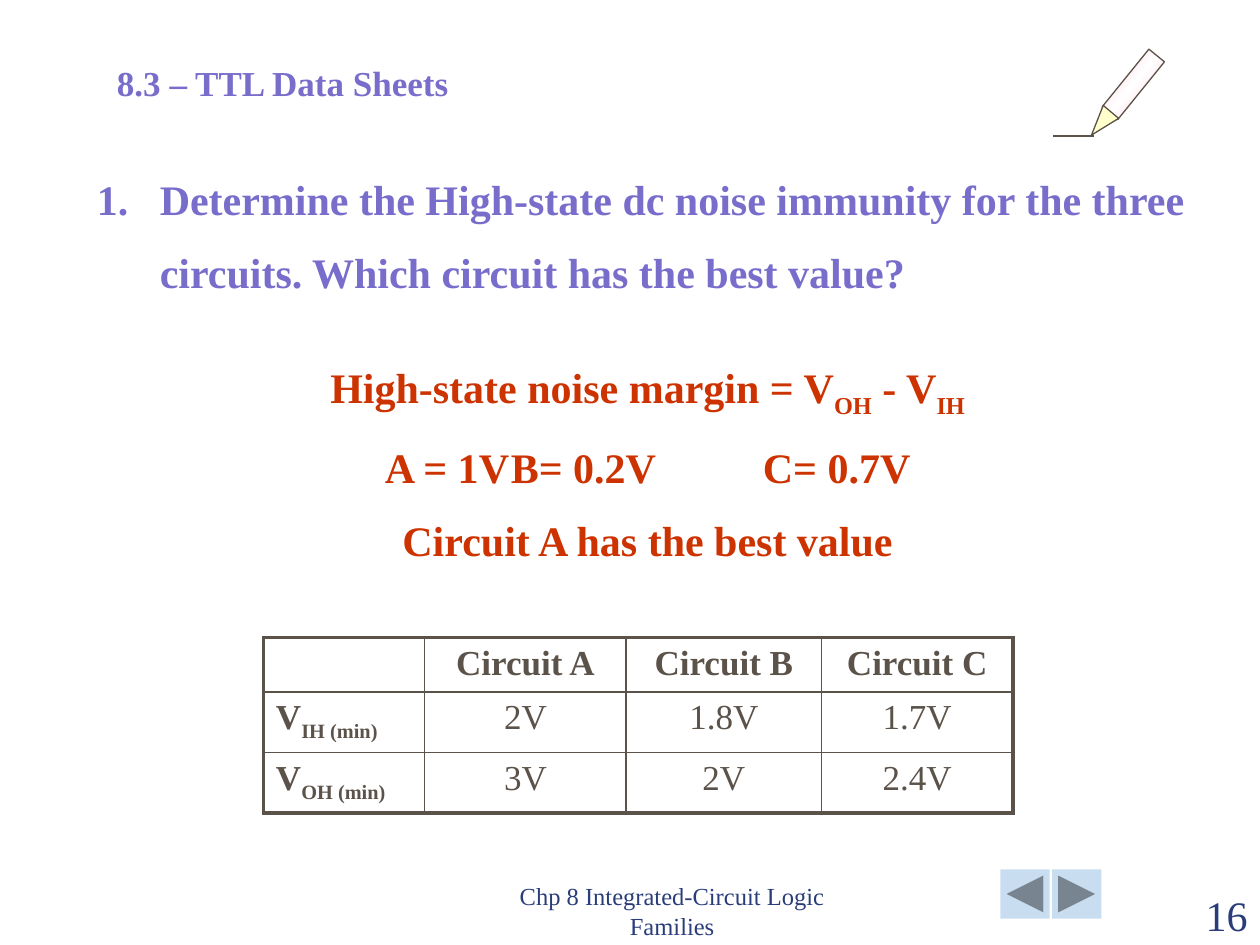
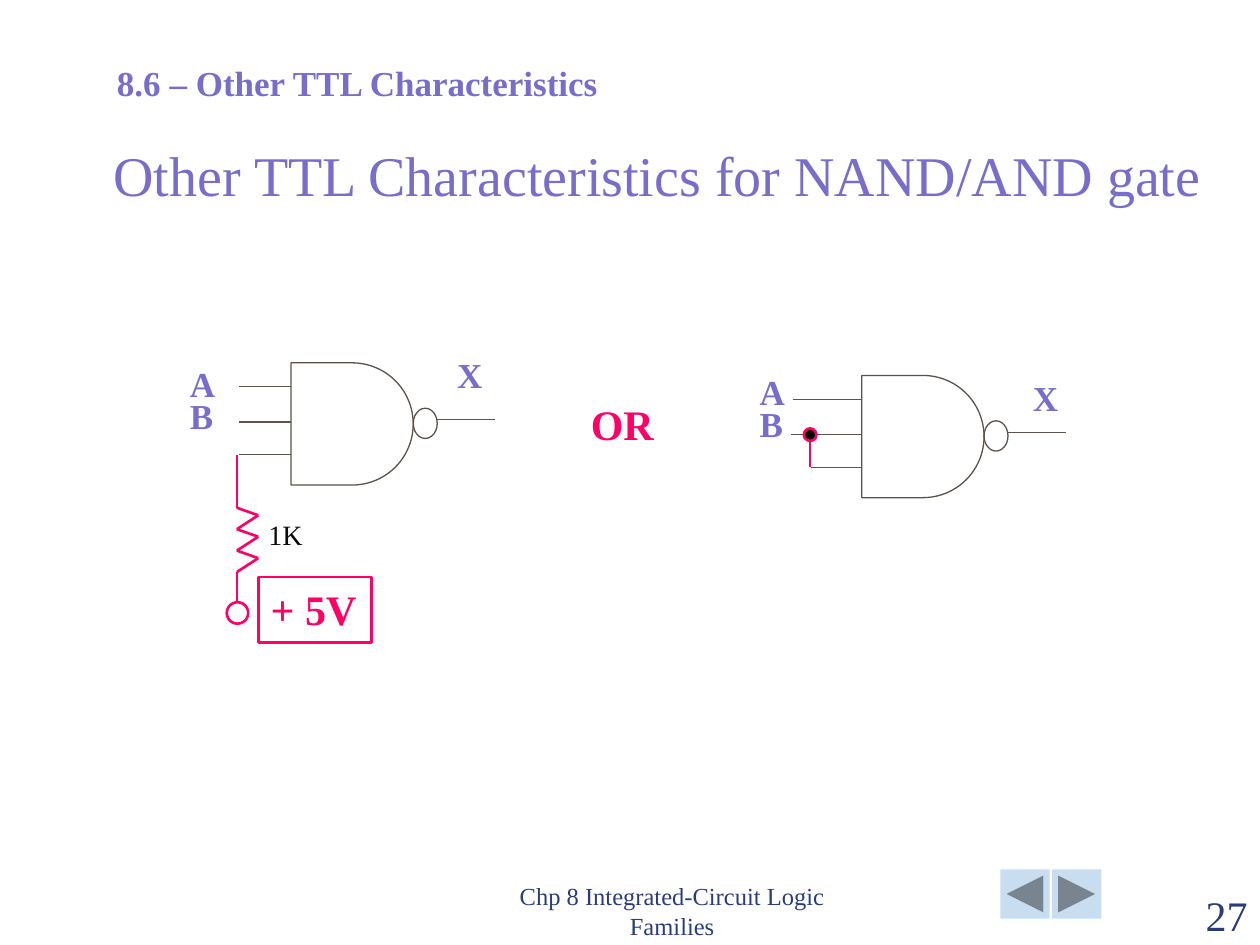
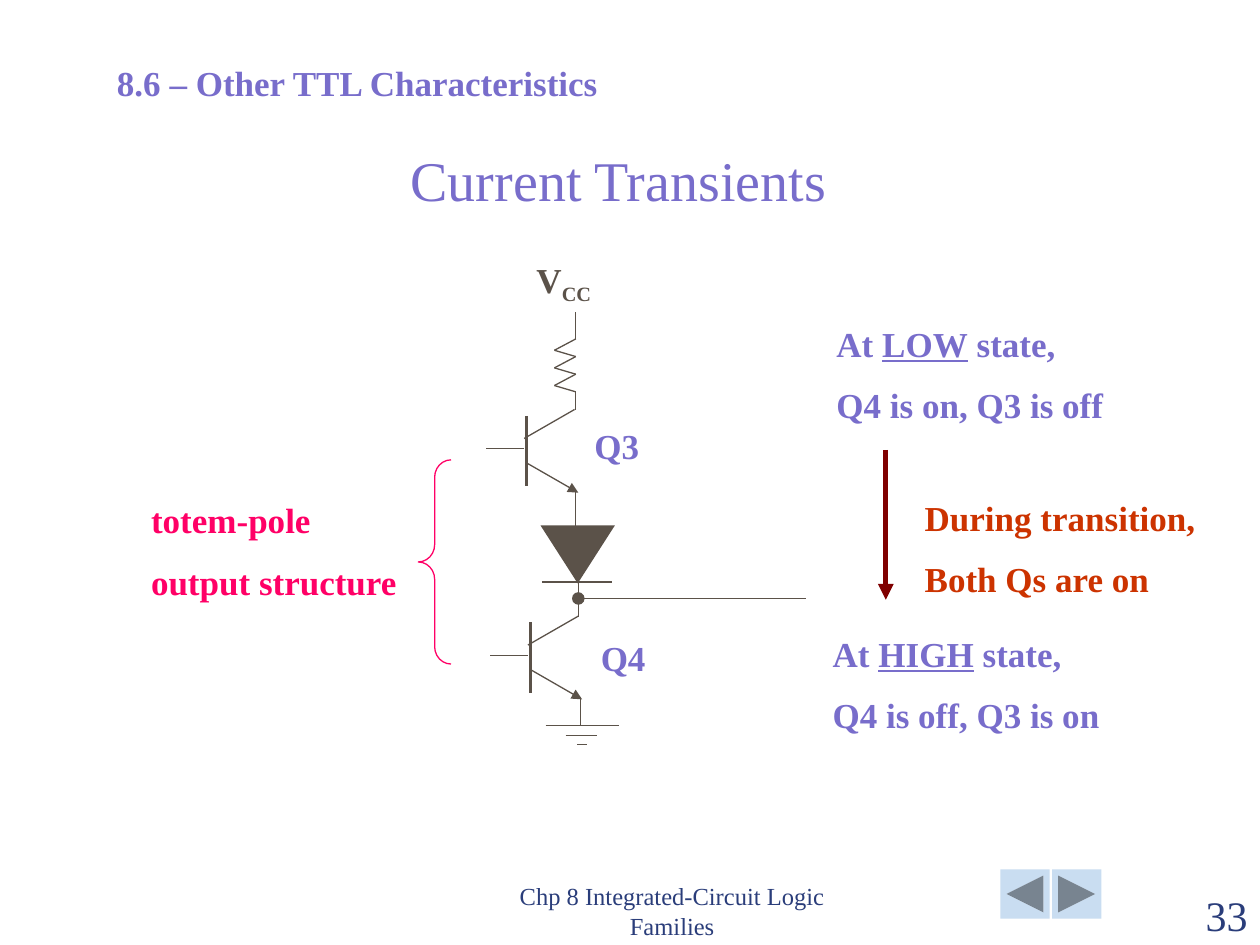
import copy
import pptx
import pptx.util
import pptx.dml.color
import pptx.enum.shapes
import pptx.enum.text
import pptx.oxml.ns
from lxml import etree

Inches = pptx.util.Inches
Pt = pptx.util.Pt
rgb = pptx.dml.color.RGBColor.from_string
qn = pptx.oxml.ns.qn
kinds = pptx.enum.shapes.MSO_SHAPE
aligns = pptx.enum.text.PP_ALIGN
anchors = pptx.enum.text.MSO_ANCHOR

# Shared look
FONT = "Times New Roman"
VIOLET, NAVY, BROWN = "786DCB", "2A3D7A", "5B5249"
PINK, RUST, MAROON, SKY = "FF0066", "CC3300", "800000", "C9DDF1"


def write(host, lines, size, hue, box=None, bold=True, align=aligns.LEFT,
          anchor=anchors.TOP, wrap=True, lead=None):
    """Write lines; | parts the runs, _ marks a subscript, * an underline."""
    if box:
        host = host.shapes.add_textbox(*map(Inches, box))
    frame = host.text_frame
    frame.word_wrap = wrap
    frame.vertical_anchor = anchor
    for i, line in enumerate(lines):
        para = frame.add_paragraph() if i else frame.paragraphs[0]
        para.alignment = align
        if i:
            para.space_before = Pt(round(size * 0.55))
        if lead:
            para.line_spacing = lead
        for part in line.split("|"):
            run = para.add_run()
            run.text = part.lstrip("_*")
            font = run.font
            font.name, font.size, font.bold = FONT, Pt(size), bold
            font.color.rgb = rgb(hue)
            if part.startswith("_"):
                run._r.get_or_add_rPr().set("baseline", "-25000")
            if part.startswith("*"):
                font.underline = True
    return frame


def draw(slide, kind, spots, fill=None, line=None, width=0.75, tip=False):
    """Draw a preset shape in a box, or, with no kind, wires from point to point."""
    if kind is None:
        items = [slide.shapes.add_connector(
            pptx.enum.shapes.MSO_CONNECTOR.STRAIGHT, *map(Inches, a + b))
            for a, b in zip(spots, spots[1:])]
    else:
        items = [slide.shapes.add_shape(kind, *map(Inches, spots))]
    for item in items:
        if kind is None:
            etree.SubElement(item._element.spPr, qn("a:effectLst"))
        else:
            item.shadow.inherit = False
            if fill:
                item.fill.solid()
                item.fill.fore_color.rgb = rgb(fill)
            else:
                item.fill.background()
        if line:
            item.line.color.rgb = rgb(line)
            item.line.width = Pt(width)
        else:
            item.line.fill.background()
        if tip:
            ln = item._element.spPr.find(qn("a:ln"))
            etree.SubElement(ln, qn("a:tailEnd"), type="triangle")
    return items[-1]


deck = pptx.Presentation()
deck.slide_width, deck.slide_height = Inches(10), Inches(7.5)

# Section heading, buttons, footer and page number
slides = []
for head, page in [("8.3 – TTL Data Sheets", "16"),
                   ("8.6 – Other TTL Characteristics", "27"),
                   ("8.6 – Other TTL Characteristics", "33")]:
    slide = deck.slides.add_slide(deck.slide_layouts[6])
    slides.append(slide)
    draw(slide, kinds.ACTION_BUTTON_BACK_OR_PREVIOUS, (7.94, 6.9, 0.39, 0.39), SKY)
    draw(slide, kinds.ACTION_BUTTON_FORWARD_OR_NEXT, (8.35, 6.9, 0.39, 0.39), SKY)
    write(slide, ["Chp 8 Integrated-Circuit Logic Families"], 14, NAVY,
          (3.75, 7.01, 3.17, 0.5), False, aligns.CENTER, anchors.BOTTOM)
    write(slide, [page], 24, NAVY, (9, 7.01, 1, 0.5), False,
          aligns.RIGHT, anchors.BOTTOM)
    write(slide, [head], 20, VIOLET, (0.83, 0.44, 4.19, 0.43))
sheet, gates, totem = slides

# Large titles
for slide, title, box in [
        (gates, "Other TTL Characteristics for NAND/AND gate", (0.73, 1.06, 8.98, 0.64)),
        (totem, "Current Transients", (0.66, 0.99, 8.5, 0.75))]:
    write(slide, [title], 32, VIOLET, box, False, aligns.CENTER, anchors.BOTTOM)

# Slide 1: numbered question
frame = write(sheet, ["Determine the High-state dc noise immunity for the three",
                      "circuits. Which circuit has the best value?"],
              24, VIOLET, (0.67, 1.33, 8.93, 1.1), wrap=False)
for para, indent in zip(frame.paragraphs, (-0.5, 0)):
    props = para._p.get_or_add_pPr()
    props.set("marL", str(Inches(0.5)))
    props.set("indent", str(Inches(indent)))
    if indent:
        etree.SubElement(props, qn("a:buFont"), typeface="+mj-lt")
        etree.SubElement(props, qn("a:buAutoNum"), type="arabicPeriod")

# Answer, with the three results on tab stops
frame = write(sheet, ["High-state noise margin = V|_OH| - V|_IH",
                      "A = 1V\tB= 0.2V\tC= 0.7V",
                      "Circuit A has the best value"],
              24, RUST, (1.74, 2.82, 6.8, 1.7), align=aligns.CENTER)
tabs = etree.SubElement(frame.paragraphs[1]._p.get_or_add_pPr(), qn("a:tabLst"))
for stop in (1, 3):
    etree.SubElement(tabs, qn("a:tab"), pos=str(Inches(stop)), algn="l")

# Voltage table with a heavy outer frame
rows = [["", "Circuit A", "Circuit B", "Circuit C"],
        ["V|_IH (min)", "2V", "1.8V", "1.7V"],
        ["V|_OH (min)", "3V", "2V", "2.4V"]]
table = sheet.shapes.add_table(3, 4, *map(Inches, (2.09, 5.06, 5.95, 1.39))).table
table.first_row = table.horz_banding = False
for col, wide in zip(table.columns, (1.28, 1.6, 1.55, 1.52)):
    col.width = Inches(wide)
for row, high in zip(table.rows, (0.43, 0.48, 0.48)):
    row.height = Inches(high)
for r, row in enumerate(rows):
    for c, text in enumerate(row):
        cell = table.cell(r, c)
        if text:
            write(cell, [text], 20, BROWN, bold=r == 0 or c == 0,
                  align=aligns.CENTER if c else aligns.LEFT)
        props = cell._tc.get_or_add_tcPr()
        for side, outer in [("L", c == 0), ("R", c == 3), ("T", r == 0), ("B", r == 2)]:
            edge = etree.SubElement(props, qn("a:ln" + side),
                                    w=str(Pt(2.25 if outer else 1)))
            solid = etree.SubElement(edge, qn("a:solidFill"))
            etree.SubElement(solid, qn("a:srgbClr"), val=BROWN)
        cell.fill.background()

# Pencil
body = draw(sheet, kinds.RECTANGLE, (8.7, 0.59, 0.59, 0.16), line=BROWN)
body.rotation = 309
body.fill.gradient()
body.fill.gradient_angle = 90
stops = body._element.spPr.find(".//" + qn("a:gsLst"))
stops.insert(1, copy.deepcopy(stops[0]))
for stop, spot, hue in zip(body.fill.gradient_stops, (0, 0.5, 1),
                           ("FFC4D8", "FFFFFF", "FFC4D8")):
    stop.position = spot
    stop.color.rgb = rgb(hue)
nib = draw(sheet, kinds.ISOSCELES_TRIANGLE, (8.66, 0.86, 0.16, 0.24), "FFFFCC", BROWN)
nib.rotation = 220
draw(sheet, None, [(8.36, 1.08), (8.68, 1.08)], line=BROWN)

# Slide 2: two NAND gates with inputs, output and labels
for x, y, starts, names, out in [
        (2.31, 2.88, (1.9, 1.9, 1.9), (1.41, 3.03), (3.53, 2.76)),
        (6.84, 2.98, (6.29, 6.28, 6.44), (5.93, 3.09), (8.1, 2.94))]:
    draw(gates, kinds.FLOWCHART_DELAY, (x, y, 0.97, 0.97), line=BROWN)
    draw(gates, kinds.OVAL, (x + 0.97, y + 0.36, 0.19, 0.24), line=BROWN)
    draw(gates, None, [(x + 1.16, y + 0.45), (x + 1.62, y + 0.45)], line=BROWN)
    for start, drop in zip(starts, (0.19, 0.47, 0.73)):
        draw(gates, None, [(start, y + drop), (x, y + drop)], line=BROWN)
    write(gates, ["A", "B"], 20, VIOLET, names + (0.4, 0.47), wrap=False, lead=0.3)
    write(gates, ["X"], 20, VIOLET, out + (0.4, 0.43), wrap=False)
write(gates, ["OR"], 24, PINK, (4.59, 3.11, 0.82, 0.5))

# Pull-up resistor to the supply
zig = [(1.88, 3.61), (1.88, 4.03)]
for i in range(3):
    zig += [(2.05, 4.09 + 0.17 * i), (1.88, 4.2 + 0.17 * i)]
draw(gates, None, zig + [(1.88, 4.78)], line=PINK, width=1.5)
draw(gates, kinds.OVAL, (1.8, 4.78, 0.17, 0.17), line=PINK, width=1.5)
volt = draw(gates, kinds.RECTANGLE, (2.05, 4.58, 0.9, 0.52), line=PINK, width=1.5)
write(volt, ["+ 5V"], 24, PINK, wrap=False)
write(gates, ["1K"], 16, "0C0B0A", (1.94, 4.06, 0.65, 0.37), False, aligns.CENTER)

# Tied inputs
draw(gates, None, [(6.43, 3.46), (6.43, 3.71)], line=PINK, width=1.5)
draw(gates, kinds.OVAL, (6.38, 3.4, 0.1, 0.1), "000000", PINK, 1.5)

# Slide 3: supply and resistor
write(totem, ["V|_CC"], 20, BROWN, (4.16, 2, 0.66, 0.43), wrap=False)
zig = [(4.57, 2.48), (4.57, 2.69)]
for i in range(3):
    zig += [(4.4, 2.78 + 0.14 * i), (4.57, 2.83 + 0.14 * i)]
draw(totem, None, zig + [(4.57, 3.25)], line=BROWN)

# Transistors
for x, y, name, spot in [(4.18, 3.3, "Q3", (4.62, 3.32)),
                         (4.21, 4.94, "Q4", (4.67, 5))]:
    draw(totem, None, [(x, y), (x, y + 0.56)], line=BROWN, width=1.5)
    draw(totem, None, [(x - 0.02, y + 0.18), (x + 0.38, y - 0.05)], line=BROWN)
    draw(totem, None, [(x + 0.01, y + 0.38), (x + 0.41, y + 0.61)], line=BROWN, tip=True)
    draw(totem, None, [(x - 0.02, y + 0.26), (x - 0.32, y + 0.26)], line=BROWN)
    write(totem, [name], 20, VIOLET, spot + (0.73, 0.43))

# Diode, output and ground
diode = draw(totem, kinds.ISOSCELES_TRIANGLE, (4.29, 4.17, 0.59, 0.46), BROWN)
diode.rotation = 180
for ends in [[(4.3, 4.62), (4.86, 4.62)], [(4.57, 3.9), (4.57, 4.21)],
             [(4.59, 4.6), (4.59, 4.9)], [(4.57, 4.75), (6.4, 4.75)],
             [(4.61, 5.53), (4.61, 5.76)], [(4.33, 5.76), (4.91, 5.76)],
             [(4.49, 5.84), (4.74, 5.84)], [(4.58, 5.91), (4.66, 5.91)]]:
    draw(totem, None, ends, line=BROWN)
draw(totem, kinds.OVAL, (4.54, 4.7, 0.1, 0.1), BROWN)

# Brace and state notes
brace = draw(totem, kinds.LEFT_BRACE, (3.32, 3.65, 0.26, 1.62), line=PINK)
brace.adjustments[0] = 0.53
draw(totem, None, [(7.03, 3.57), (7.03, 4.76)], line=MAROON, width=3, tip=True)
for lines, hue, box in [
        (["totem-pole", "output structure"], PINK, (1.1, 3.91, 2.15, 0.93)),
        (["At |*LOW| state,", "Q4 is on, Q3 is off"], VIOLET, (6.54, 2.51, 2.49, 0.93)),
        (["During transition,", "Both Qs are on"], RUST, (7.24, 3.89, 2.35, 0.93)),
        (["At |*HIGH| state,", "Q4 is off, Q3 is on"], VIOLET, (6.51, 4.97, 2.49, 0.93))]:
    write(totem, lines, 20, hue, box)

deck.save("out.pptx")
